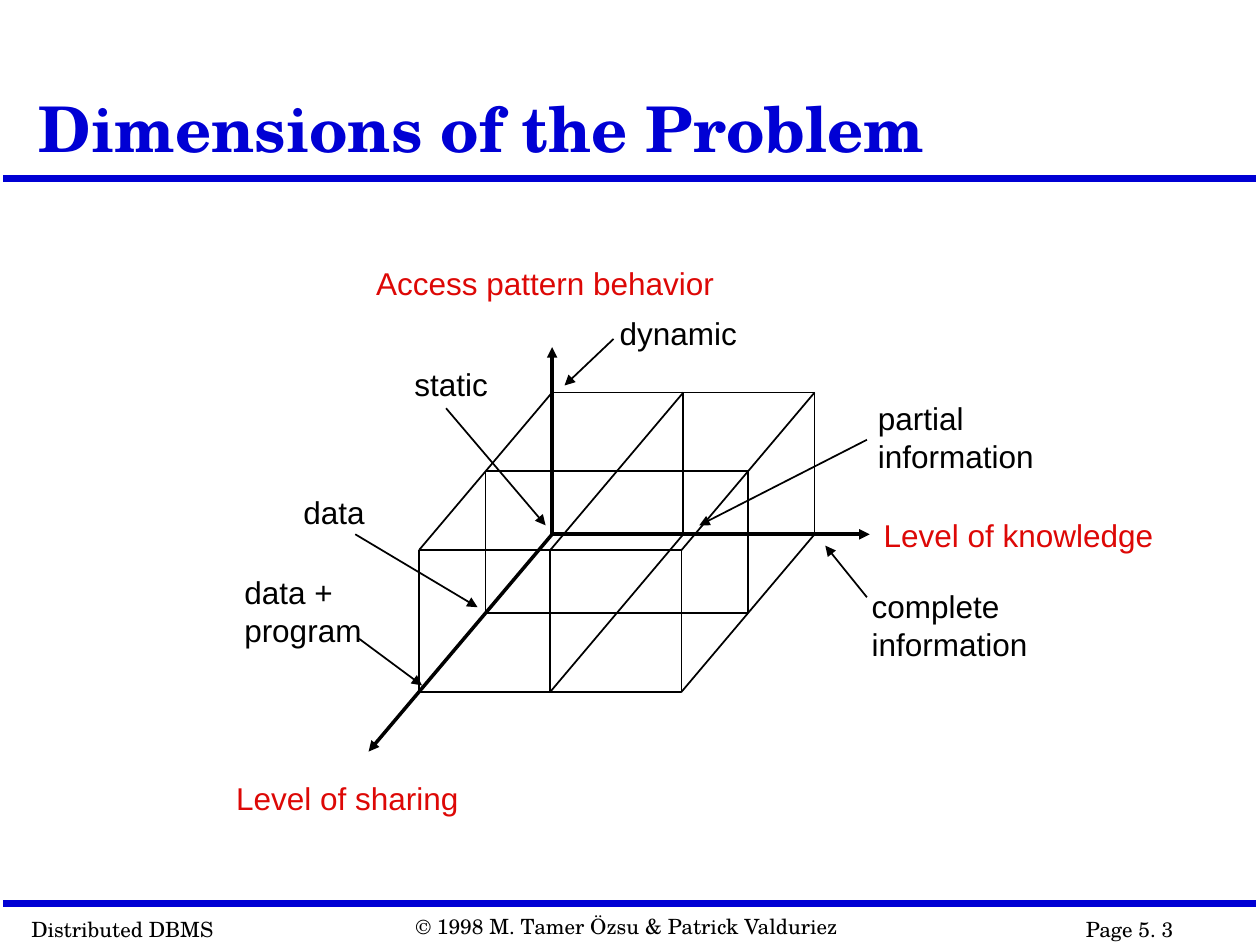
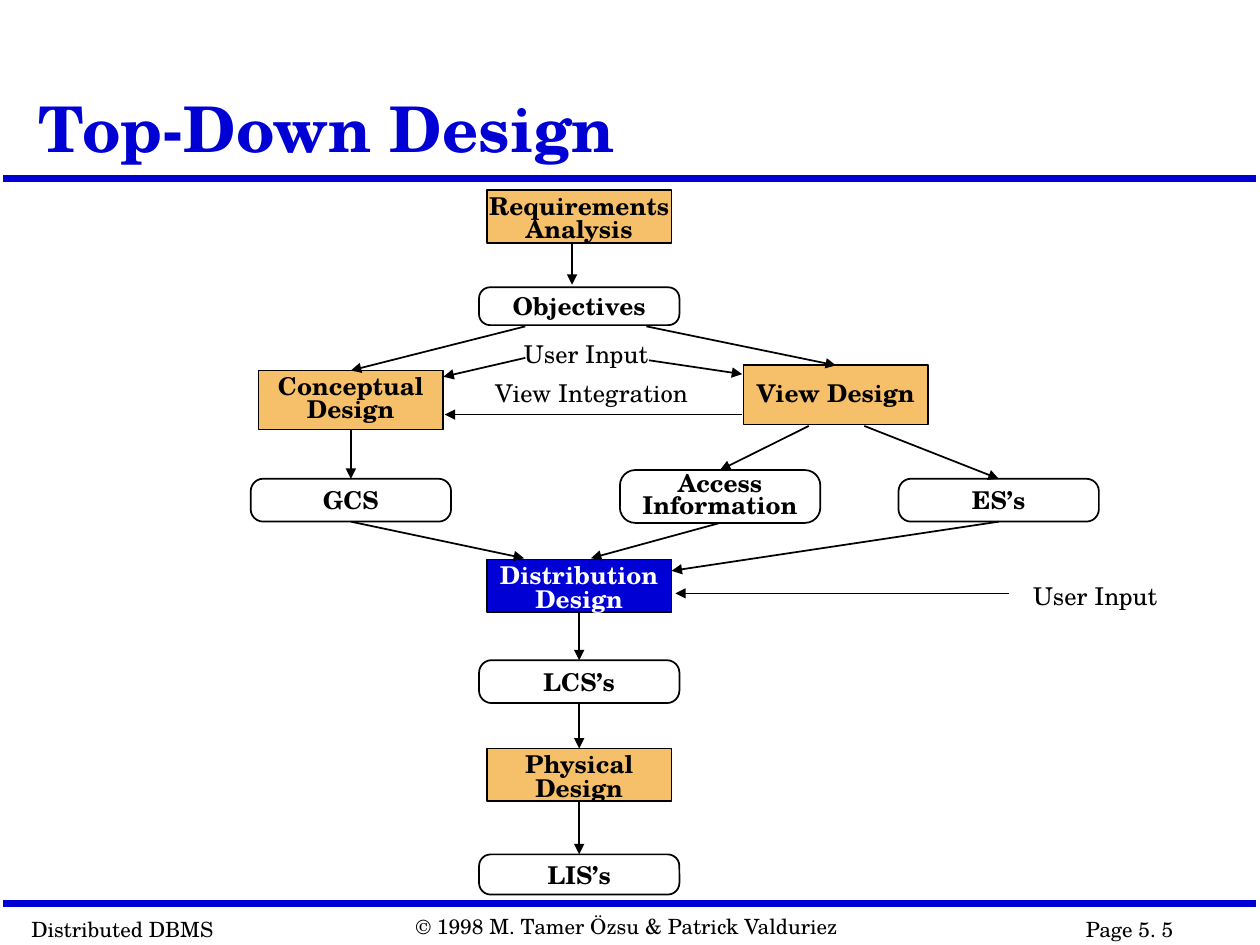
from lxml import etree
from pptx import Presentation
from pptx.dml.color import RGBColor
from pptx.enum import shapes, text
from pptx.oxml import ns
from pptx.util import Pt

BLUE = RGBColor(0x00, 0x00, 0xD4)
RED = RGBColor(0xDD, 0x08, 0x06)
AMBER = RGBColor(0xF6, 0xBF, 0x69)
BLACK = RGBColor(0x00, 0x00, 0x00)
WHITE = RGBColor(0xFF, 0xFF, 0xFF)

SERIF, SANS = "TeX Gyre Schola", "Arial"
LEFT, CENTER = text.PP_ALIGN.LEFT, text.PP_ALIGN.CENTER
TOP, MIDDLE, BOTTOM = (text.MSO_ANCHOR.TOP, text.MSO_ANCHOR.MIDDLE,
                       text.MSO_ANCHOR.BOTTOM)

TITLE = dict(name=SERIF, size=Pt(36), bold=True)
FOOT = dict(name=SERIF, size=Pt(12))
NOTE = dict(name=SERIF, size=Pt(14))
NODE = dict(name=SERIF, size=Pt(14), bold=True)
LABEL = dict(name=SANS, size=Pt(18))


def assign(obj, values):
    for key, val in values.items():
        setattr(obj, key, val)


def write(shape, words, font, color=BLACK, align=LEFT, space=1.0,
          anchor=TOP, pad=(7.2, 3.6), wrap=True):
    """Fill a shape with text, one paragraph per line of words."""
    frame = shape.text_frame
    across, down = map(Pt, pad)
    assign(frame, dict(text=words, word_wrap=wrap, vertical_anchor=anchor,
                       auto_size=text.MSO_AUTO_SIZE.NONE,
                       margin_left=across, margin_right=across,
                       margin_top=down, margin_bottom=down))
    for para in frame.paragraphs:
        assign(para, dict(alignment=align, line_spacing=space,
                          space_before=Pt(0)))
        for run in para.runs:
            assign(run.font, font)
            run.font.color.rgb = color


def label(slide, words, left, top, width, height, font, **style):
    box = slide.shapes.add_textbox(Pt(left), Pt(top), Pt(width), Pt(height))
    write(box, words, font, **style)


def line(slide, start, end, width=1, color=BLACK, arrow=False):
    """Draw from start to end; each is a point or a (shape, side) joint."""
    joints = [hasattr(tip[0], "shape_id") for tip in (start, end)]
    spots = [(0, 0) if joint else tip
             for tip, joint in zip((start, end), joints)]
    wire = slide.shapes.add_connector(
        shapes.MSO_CONNECTOR.STRAIGHT, *(Pt(n) for spot in spots for n in spot))
    if joints[0]:
        wire.begin_connect(*start)
    if joints[1]:
        wire.end_connect(*end)
    wire.line.width = Pt(width)
    wire.line.color.rgb = color
    props = wire.line._get_or_add_ln()
    if arrow:
        etree.SubElement(props, ns.qn("a:tailEnd"), type="triangle")
    etree.SubElement(props.getparent(), ns.qn("a:effectLst"))


def outline(slide, points):
    first, *rest = [(Pt(x), Pt(y)) for x, y in points]
    path = slide.shapes.build_freeform(*first)
    path.add_line_segments(rest, close=False)
    shape = path.convert_to_shape()
    shape.shadow.inherit = False
    shape.fill.background()
    shape.line.width = Pt(1)
    shape.line.color.rgb = BLACK


def page(deck, title, number):
    """Add a slide with the shared title, rules and footer."""
    slide = deck.slides.add_slide(deck.slide_layouts[5])
    for y in (102.2, 516.2):
        line(slide, (2, y), (718, y), 4, BLUE)
    for words, left, top, width in (
            ("Distributed DBMS", 10.8, 520, 130),
            (f"Page 5. {number}", 613.4, 520, 106),
            ("© 1998 M. Tamer Özsu & Patrick Valduriez", 230.4, 518.6, 265)):
        label(slide, words, left, top, width, 21.6, FOOT)
    head = slide.shapes.title
    assign(head, dict(left=Pt(15), top=Pt(8.6), width=Pt(564), height=Pt(90)))
    write(head, title, TITLE, BLUE, space=0.9, anchor=BOTTOM)
    return slide


def cube(slide, left, top):
    """Draw the grid of cells and its three axes around a back corner."""
    def spot(right, up, front):
        return left + 150 * right - 76 * front, top - 81 * up + 90 * front

    def edge(start, end, **style):
        line(slide, spot(*start), spot(*end), **style)

    for tip in ((0, 1.32, 0), (1.21, 0, 0), (0, 0, 1.38)):
        edge((0, 0, 0), tip, width=2, arrow=True)
    outline(slide, [spot(0, 1, 0), spot(1, 1, 0), spot(1, 0, 0)])
    outline(slide, [spot(0, 1, 1), spot(1, 1, 1), spot(1, 0, 1), spot(0, 0, 1)])
    for right, front in ((0, 0.5), (1, 0.5), (0, 1), (0.5, 0), (0.5, 1)):
        edge((right, 0, front), (right, 1, front))
    for up in (0, 1):
        edge((0, up, 0.5), (1, up, 0.5))
    for right, up in ((0, 1), (0.5, 0), (0.5, 1), (1, 0), (1, 1)):
        edge((right, up, 0), (right, up, 1))


def space_map(slide, left, top):
    """Place the cube, its axis names and the pointers to its corners."""
    cube(slide, left + 185.5, top + 155.3)
    for words, x, y, width in (
            ("Level of sharing", 0, 296, 137),
            ("Level of knowledge", 370, 146, 164),
            ("Access pattern behavior", 80, 2, 203)):
        label(slide, words, left + x, top + y, width, 22, LABEL, color=RED,
              align=CENTER, space=0.85, pad=(0, 2.2))
    for words, x, y, width, start, end in (
            ("partial\ninformation", 364.6, 74.6, 110,
             (365.4, 101.3), (269.6, 150.2)),
            ("dynamic", 217, 25.7, 90, (220.6, 43.7), (192.6, 70.3)),
            ("static", 99.7, 55.2, 65, (124.9, 83.3), (181.8, 150.2)),
            ("data", 36.3, 127.9, 60, (73, 155.3), (142.9, 197)),
            ("data +\nprogram", 2.5, 174, 90, (75.2, 215), (111.2, 241.7)),
            ("complete\ninformation", 361, 181.9, 110,
             (365.4, 191.3), (341.6, 161.8))):
        height = 29 + 21.6 * words.count("\n")
        label(slide, words, left + x, top + y, width, height, LABEL)
        line(slide, (left + start[0], top + start[1]),
             (left + end[0], top + end[1]), arrow=True)


def node(slide, kind, mid, top, width, height, fill=None):
    shape = slide.shapes.add_shape(kind, Pt(mid - width / 2), Pt(top),
                                   Pt(width), Pt(height))
    shape.shadow.inherit = False
    shape.line.width = Pt(1)
    shape.line.color.rgb = BLACK
    if fill is None:
        shape.fill.background()
    else:
        shape.fill.solid()
        shape.fill.fore_color.rgb = fill
    return shape


def step(slide, words, mid, top, height=30.2, fill=AMBER, anchor=TOP):
    """Add a design activity."""
    shape = node(slide, shapes.MSO_SHAPE.RECTANGLE, mid, top, 105.5, height,
                 fill)
    write(shape, words, NODE, WHITE if fill == BLUE else BLACK, CENTER, 0.8,
          anchor, wrap=False)
    return shape


def result(slide, words, mid, top, height=24.5, space=1.0, pad=(7.2, 3.6)):
    """Add the product of an activity."""
    shape = node(slide, shapes.MSO_SHAPE.ROUNDED_RECTANGLE, mid, top, 114.5,
                 height)
    shape.adjustments[0] = 0.29
    write(shape, words, NODE, BLACK, CENTER, space, MIDDLE, pad, wrap=False)
    return shape


def flow(slide, left, top):
    """Place the design process, centred on one main column."""
    main, west, east = left + 191, left + 60.5, left + 337.7

    for words, x, y, width in (("User Input", 152.3, 90.1, 95),
                               ("View Integration", 135.8, 112.4, 130),
                               ("User Input", 443.2, 228.3, 95)):
        label(slide, words, left + x, top + y, width, 23.8, NOTE)

    step(slide, "Requirements\nAnalysis", main, top + 8.7)
    result(slide, "Objectives", main, top + 64.2, 21.6)
    concept = step(slide, "Conceptual\nDesign", west, top + 111.7, 33.8)
    view = step(slide, "View Design", east, top + 108.8, 33.8, anchor=MIDDLE)
    access = result(slide, "Access\nInformation", left + 271.5, top + 168.6,
                    30.2, 0.75, (7.2, 0))
    es = result(slide, "ES’s", left + 430.7, top + 173.6)
    gcs = result(slide, "GCS", west, top + 173.6)
    dist = step(slide, "Distribution\nDesign", main, top + 219.7, fill=BLUE)
    lcs = result(slide, "LCS’s", main, top + 277.3)
    phys = step(slide, "Physical\nDesign", main, top + 327.7)
    lis = result(slide, "LIS’s", main, top + 388.2, 23)

    def at(x, y):
        return left + x, top + y

    for above, below in ((concept, gcs), (dist, lcs), (lcs, phys),
                         (phys, lis)):
        line(slide, (above, 2), (below, 0), arrow=True)
    for start, end in (
            (at(186.9, 39.7), at(186.9, 62.7)),
            (at(160.2, 86.5), (concept, 0)),
            (at(229.4, 86.5), (view, 0)),
            (at(160.2, 104.5), at(113.4, 115.3)),
            (at(230.8, 105.9), at(284.1, 113.8)),
            (at(284.1, 136.9), at(114.2, 136.9)),
            (at(322.2, 143.4), (access, 0)),
            (at(353.9, 143.4), (es, 0)),
            ((gcs, 2), at(159.5, 219)),
            ((access, 2), at(197.7, 219)),
            ((es, 2), at(243.8, 226.2)),
            (at(436.7, 239.1), at(245.9, 239.1))):
        line(slide, start, end, arrow=True)


def main():
    deck = Presentation()
    assign(deck, dict(slide_width=Pt(720), slide_height=Pt(540)))
    space_map(page(deck, "Dimensions of the Problem", 3), 130, 150)
    flow(page(deck, "Top-Down Design", 5), 140, 100)
    deck.save("out.pptx")


if __name__ == "__main__":
    main()
